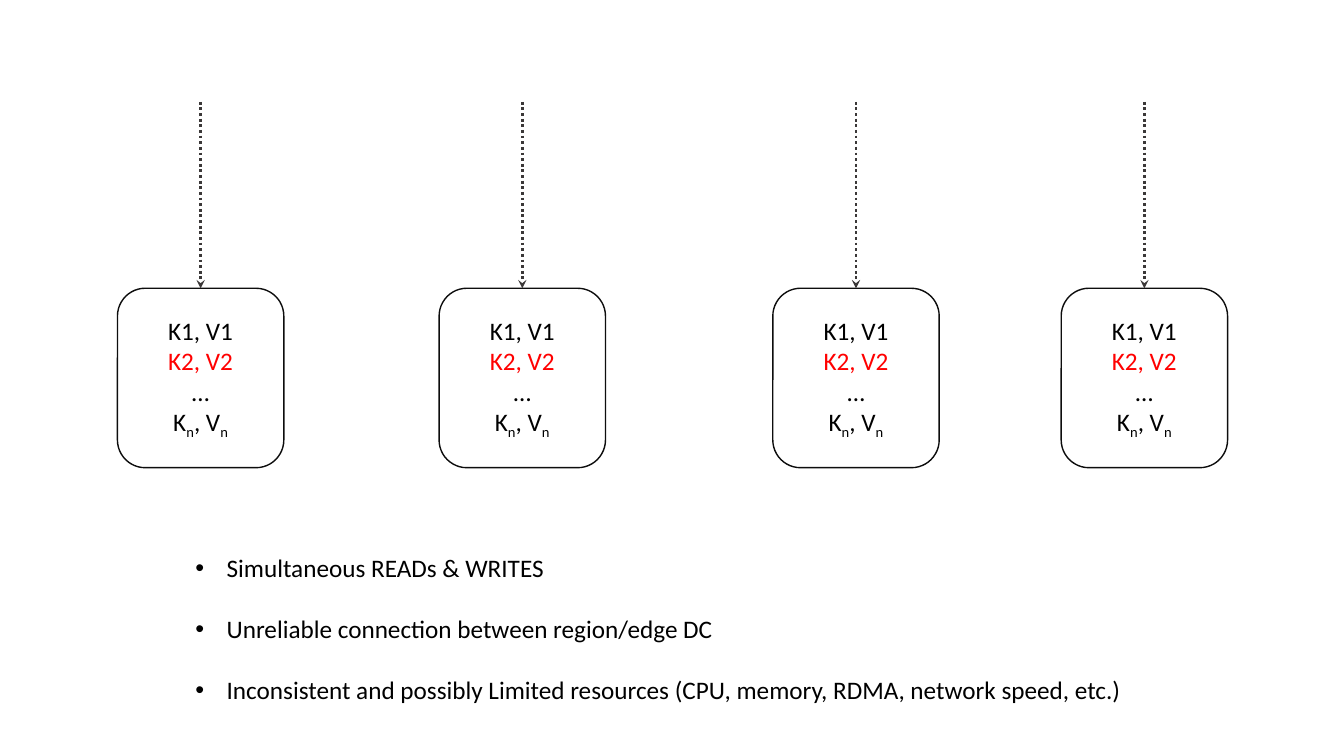
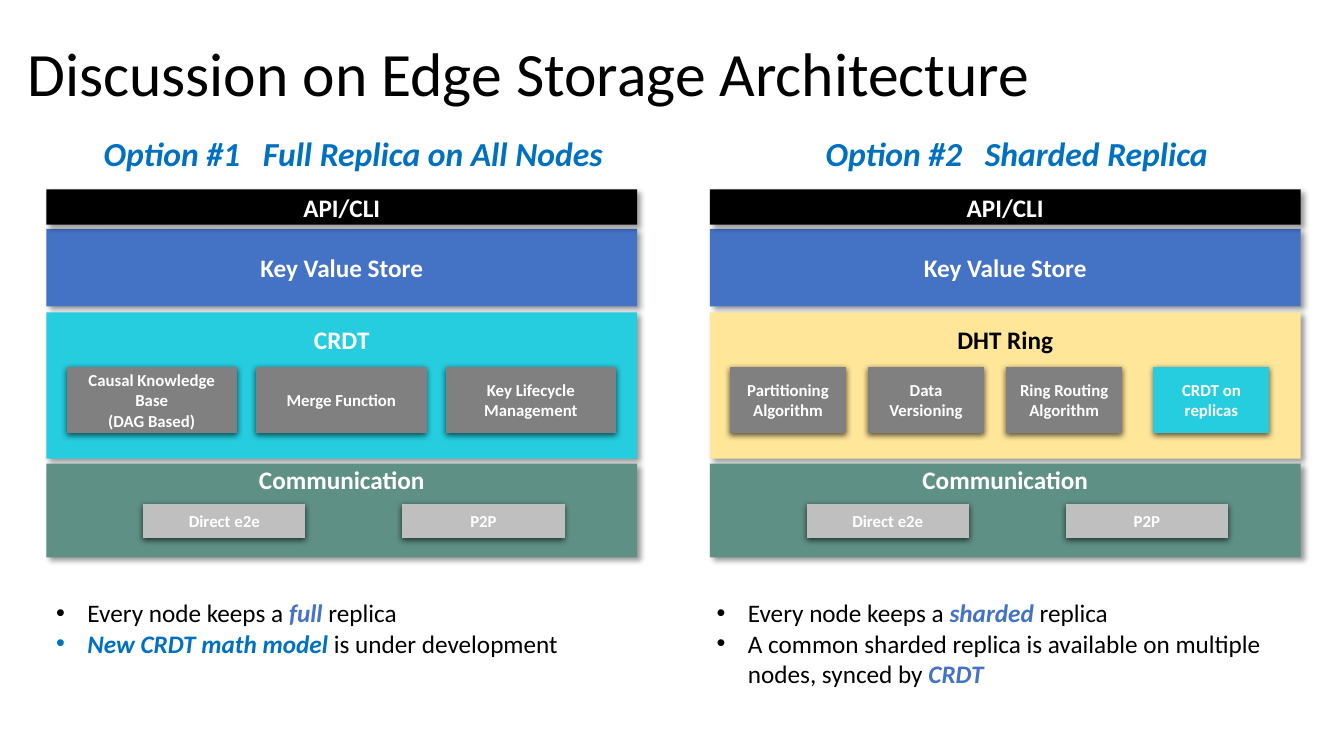
import pptx
import pptx.dml.color
import pptx.enum.dml
import pptx.enum.shapes
import pptx.enum.text
import pptx.oxml
import pptx.oxml.ns
import pptx.util

SLIDE_WIDTH, SLIDE_HEIGHT = 13.33, 7.5
SHAPES = pptx.enum.shapes.MSO_SHAPE
ALIGN = pptx.enum.text.PP_ALIGN
ANCHOR = pptx.enum.text.MSO_ANCHOR

THEME = {
    "font": "Calibri",
    "colours": {
        "text": "000000", "white": "FFFFFF", "outline": "0D0D0D", "arrow": "3B3838",
        "changed": "FF0000", "heading": "0070C0", "blue": "4472C4", "cyan": "25CDDF",
        "yellow": "FFE699", "green": "5F9086", "grey": "808080", "silver": "BFBFBF",
    },
    "sizes": {"title": 44, "heading": 24, "body": 18, "chip": 12},
    "shadows": {
        "layer": {"alpha": 40, "blur": 4, "distance": 3, "angle": 45},
        "chip": {"alpha": 63, "blur": 4.5, "distance": 1.5, "angle": 90},
    },
}
RUN_STYLES = {
    "plain": {},
    "changed": {"colour": "changed"},
    "subscript": {"baseline": -25},
    "strong": {"colour": "blue", "bold": True, "italic": True},
    "strong heading": {"colour": "heading", "bold": True, "italic": True},
}

NODE_LINES = [
    ["K1, V1"],
    [("K2, V2", "changed")],
    ["…"],
    ["K", ("n", "subscript"), ", V", ("n", "subscript")],
]
NODE_CENTRES = [1.99, 5.18, 8.49, 11.35]
CHALLENGES = [
    ["Simultaneous READs & WRITES"],
    ["Unreliable connection between region/edge DC"],
    ["Inconsistent and possibly Limited resources (CPU, memory, RDMA, network speed, etc.)"],
]
NODE = {"top": 2.86, "width": 1.65, "height": 1.78, "arrow_top": 1.01}

TITLE = "Discussion on Edge Storage Architecture"
LINK_CHIPS = [("Direct e2e", "silver"), ("P2P", "silver")]
OPTIONS = [
    {
        "heading": "Option #1\tFull Replica on All Nodes",
        "heading_left": 0.93,
        "left": 0.46,
        "notes_left": 0.46,
        "engine": ("CRDT", "cyan", "white"),
        "chips": [("Causal Knowledge Base\n(DAG Based)", "grey"), ("Merge Function", "grey"),
                  ("Key Lifecycle Management", "grey")],
        "chip_width": 1.69, "chip_pitch": 1.88, "accent_gap": 0,
        "notes": [
            ["Every node keeps a ", ("full", "strong"), " replica"],
            [("New CRDT math model ", "strong heading"), "is under development"],
        ],
    },
    {
        "heading": "Option #2\tSharded Replica",
        "heading_left": 8.09,
        "left": 7.04,
        "notes_left": 7.01,
        "engine": ("DHT Ring", "yellow", "text"),
        "chips": [("Partitioning Algorithm", "grey"), ("Data Versioning", "grey"),
                  ("Ring Routing Algorithm", "grey"), ("CRDT on replicas", "cyan")],
        "chip_width": 1.15, "chip_pitch": 1.37, "accent_gap": 0.09,
        "notes": [
            ["Every node keeps a ", ("sharded", "strong"), " replica"],
            ["A common sharded replica is available on multiple nodes, synced by ",
             ("CRDT", "strong")],
        ],
    },
]
LAYER_WIDTH = 5.86
LAYER_ROWS = {"api": (1.88, 0.35), "store": (2.27, 0.77), "engine": (3.1, 1.45), "link": (4.6, 0.93)}
ENGINE_CHIPS = {"top": 3.64, "height": 0.66, "inset": 0.2}
LINK_GRID = {"top": 5, "height": 0.34, "inset": 0.96, "width": 1.61, "pitch": 2.57}


def colour(name):
    return pptx.dml.color.RGBColor.from_string(THEME["colours"][name])


def inches(*values):
    return [pptx.util.Inches(value) for value in values]


def apply_format(target, values):
    for name, value in values.items():
        setattr(target, name, value)


def add_xml(parent, tag, attributes="", children=""):
    namespace = pptx.oxml.ns.nsdecls("a")
    parent.append(pptx.oxml.parse_xml(f"<a:{tag} {namespace} {attributes}>{children}</a:{tag}>"))


def write(frame, paragraphs, size="body", ink="text", bold=False, italic=False, frame_format=None,
          paragraph_format=None, bullets=False, gap=0, tab=None):
    margins = dict(zip(("margin_left", "margin_right", "margin_top", "margin_bottom"),
                       inches(0.1, 0.1, 0.05, 0.05)))
    apply_format(frame, {"word_wrap": True, **margins, **(frame_format or {})})
    for index, parts in enumerate(paragraphs):
        paragraph = frame.paragraphs[0] if index == 0 else frame.add_paragraph()
        apply_format(paragraph, {"alignment": ALIGN.LEFT, **(paragraph_format or {})})
        if gap and index:
            paragraph.space_before = pptx.util.Pt(gap)
        properties = paragraph._p.get_or_add_pPr()
        if bullets:
            indent = pptx.util.Inches(0.31)
            properties.set("marL", str(indent))
            properties.set("indent", str(-indent))
            add_xml(properties, "buFont", 'typeface="Arial"')
            add_xml(properties, "buChar", 'char="•"')
        if tab:
            add_xml(properties, "tabLst",
                    children=f'<a:tab pos="{pptx.util.Inches(tab)}" algn="l"/>')
        for part in parts:
            words, style_name = (part, "plain") if isinstance(part, str) else part
            style = {"colour": ink, "bold": bold, "italic": italic, **RUN_STYLES[style_name]}
            run = paragraph.add_run()
            run.text = words
            apply_format(run.font, {
                "name": THEME["font"], "size": pptx.util.Pt(THEME["sizes"][size]),
                "bold": style["bold"], "italic": style["italic"],
            })
            run.font.color.rgb = colour(style["colour"])
            if "baseline" in style:
                run._r.get_or_add_rPr().set("baseline", str(style["baseline"] * 1000))


def add_text(slide, box, paragraphs, **options):
    write(slide.shapes.add_textbox(*inches(*box)).text_frame, paragraphs, **options)


def add_block(slide, kind, box, fill=None, outline=None, shadow=None):
    shape = slide.shapes.add_shape(kind, *inches(*box))
    if fill:
        shape.fill.solid()
        shape.fill.fore_color.rgb = colour(fill)
    else:
        shape.fill.background()
    if outline:
        shape.line.color.rgb = colour(outline)
        shape.line.width = pptx.util.Pt(1)
    else:
        shape.line.fill.background()
    shape.shadow.inherit = False
    if shadow:
        values = THEME["shadows"][shadow]
        effects = shape._element.spPr.find(pptx.oxml.ns.qn("a:effectLst"))
        add_xml(effects, "outerShdw",
                f'blurRad="{pptx.util.Pt(values["blur"])}" dist="{pptx.util.Pt(values["distance"])}" '
                f'dir="{values["angle"] * 60000}" algn="ctr" rotWithShape="0"',
                f'<a:srgbClr val="{THEME["colours"]["text"]}">'
                f'<a:alpha val="{values["alpha"] * 1000}"/></a:srgbClr>')
    return shape


def add_arrow(slide, centre, top, bottom):
    connector = slide.shapes.add_connector(
        pptx.enum.shapes.MSO_CONNECTOR.STRAIGHT, *inches(centre, top, centre, bottom))
    connector.line.color.rgb = colour("arrow")
    apply_format(connector.line, {
        "width": pptx.util.Pt(2), "dash_style": pptx.enum.dml.MSO_LINE.ROUND_DOT,
    })
    properties = connector._element.spPr
    add_xml(properties.find(pptx.oxml.ns.qn("a:ln")), "tailEnd", 'type="stealth"')
    add_xml(properties, "effectLst")


def add_layer(slide, row, left, label, fill, ink="white", text_top=None):
    top, height = LAYER_ROWS[row]
    shape = add_block(slide, SHAPES.RECTANGLE, (left, top, LAYER_WIDTH, height), fill, shadow="layer")
    write(shape.text_frame, [[label]], ink=ink, bold=True, paragraph_format={"alignment": ALIGN.CENTER},
          frame_format={
              "vertical_anchor": ANCHOR.MIDDLE if text_top is None else ANCHOR.TOP,
              "margin_top": pptx.util.Inches(text_top or 0), "margin_bottom": 0,
          })


def add_chips(slide, chips, left, top, width, height, pitch, accent_gap=0):
    for index, (label, fill) in enumerate(chips):
        chip_left = left + index * pitch + (accent_gap if fill == "cyan" else 0)
        shape = add_block(slide, SHAPES.FLOWCHART_PROCESS, (chip_left, top, width, height),
                          fill, shadow="chip")
        write(shape.text_frame, [[line] for line in label.split("\n")], size="chip", ink="white",
              bold=True, paragraph_format={"alignment": ALIGN.CENTER},
              frame_format={"vertical_anchor": ANCHOR.MIDDLE, "margin_top": 0, "margin_bottom": 0})


def build_nodes(presentation):
    slide = presentation.slides.add_slide(presentation.slide_layouts[6])
    for centre in NODE_CENTRES:
        box = (centre - NODE["width"] / 2, NODE["top"], NODE["width"], NODE["height"])
        shape = add_block(slide, SHAPES.ROUNDED_RECTANGLE, box, outline="outline")
        write(shape.text_frame, NODE_LINES, paragraph_format={"alignment": ALIGN.CENTER},
              frame_format={"vertical_anchor": ANCHOR.MIDDLE})
        add_arrow(slide, centre, NODE["arrow_top"], NODE["top"])
    add_text(slide, (1.84, 5.43, 9.6, 1.62), CHALLENGES, bullets=True, gap=22)


def build_options(presentation):
    slide = presentation.slides.add_slide(presentation.slide_layouts[5])
    title = slide.shapes.title
    apply_format(title, dict(zip(("left", "top", "width", "height"), inches(0.17, 0.03, 11.5, 1.45))))
    write(title.text_frame, [[TITLE]], size="title", paragraph_format={"line_spacing": 0.9},
          frame_format={"vertical_anchor": ANCHOR.MIDDLE,
                        "auto_size": pptx.enum.text.MSO_AUTO_SIZE.NONE})
    for option in OPTIONS:
        left = option["left"]
        label, fill, ink = option["engine"]
        add_text(slide, (option["heading_left"], 1.27, 5.3, 0.5), [[option["heading"]]],
                 size="heading", ink="heading", bold=True, italic=True, tab=1.58)
        add_layer(slide, "store", left, "Key Value Store", "blue")
        add_layer(slide, "engine", left, label, fill, ink, text_top=0.12)
        add_chips(slide, option["chips"], left + ENGINE_CHIPS["inset"], ENGINE_CHIPS["top"],
                  option["chip_width"], ENGINE_CHIPS["height"], option["chip_pitch"],
                  option["accent_gap"])
        add_layer(slide, "link", left, "Communication", "green", text_top=0.01)
        add_chips(slide, LINK_CHIPS, left + LINK_GRID["inset"], LINK_GRID["top"],
                  LINK_GRID["width"], LINK_GRID["height"], LINK_GRID["pitch"])
        add_layer(slide, "api", left, "API/CLI", "text")
        add_text(slide, (option["notes_left"], 5.88, LAYER_WIDTH, 1.01), option["notes"], bullets=True)


def main():
    presentation = pptx.Presentation()
    presentation.slide_width, presentation.slide_height = inches(SLIDE_WIDTH, SLIDE_HEIGHT)
    build_nodes(presentation)
    build_options(presentation)
    presentation.save("out.pptx")


if __name__ == "__main__":
    main()
